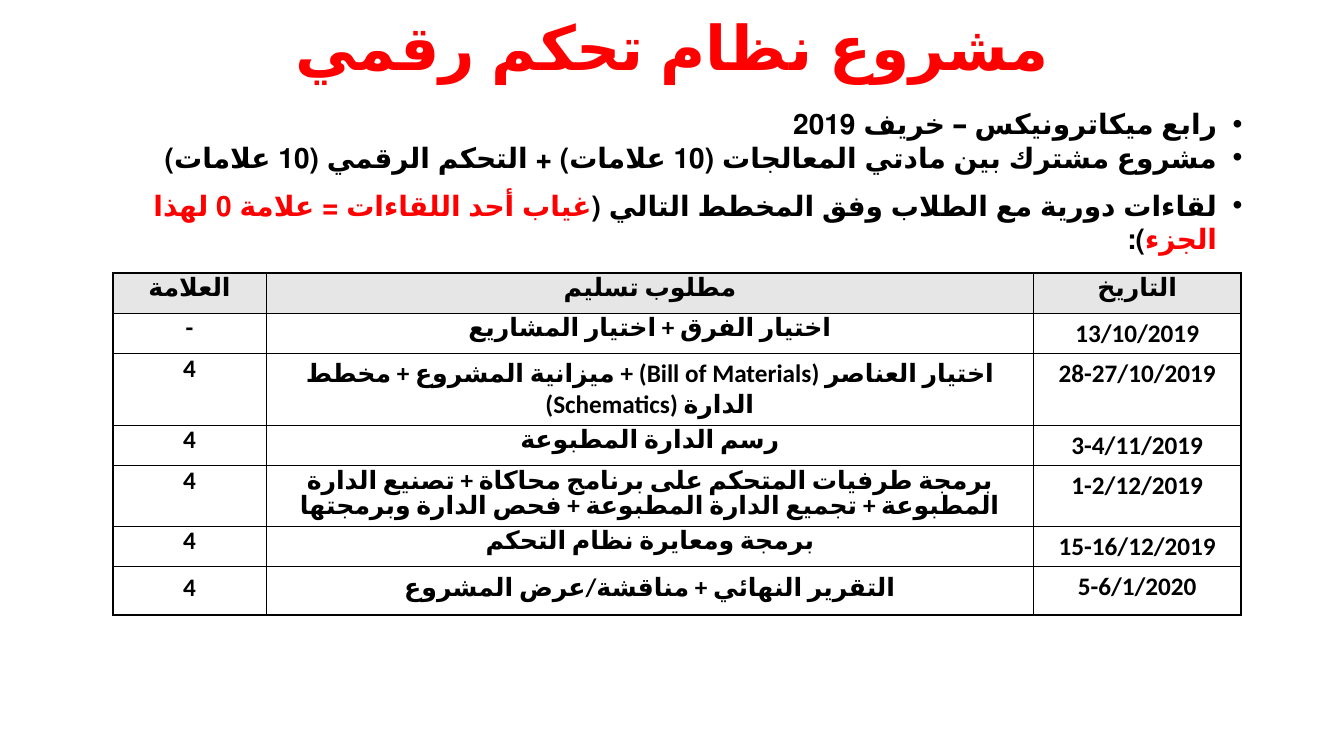
from dataclasses import dataclass

from lxml.etree import SubElement
from pptx import Presentation
from pptx.dml.color import RGBColor
from pptx.enum.lang import MSO_LANGUAGE_ID
from pptx.enum.text import MSO_ANCHOR, PP_ALIGN
from pptx.oxml.ns import qn
from pptx.util import Inches, Pt


@dataclass(frozen=True)
class Theme:
    font: str = "Calibri"
    black: RGBColor = RGBColor(0, 0, 0)
    red: RGBColor = RGBColor(255, 0, 0)
    header: RGBColor = RGBColor(0xE7, 0xE6, 0xE6)
    title_size: Pt = Pt(44)
    body_size: Pt = Pt(20)
    table_size: Pt = Pt(18)
    inner_line: Pt = Pt(1)
    outer_line: Pt = Pt(1.5)


THEME = Theme()

TITLE = "مشروع نظام تحكم رقمي"
BULLETS = [
    [("رابع ميكاترونيكس – خريف 2019", THEME.black)],
    [("مشروع مشترك بين مادتي المعالجات (10 علامات) + التحكم الرقمي (10 علامات)", THEME.black)],
    [
        ("لقاءات دورية مع الطلاب وفق المخطط التالي (", THEME.black),
        ("غياب أحد اللقاءات = علامة 0 لهذا الجزء", THEME.red),
        ("):", THEME.black),
    ],
]
SCHEDULE = [
    ("العلامة", "مطلوب تسليم", "التاريخ"),
    ("-", "اختيار الفرق + اختيار المشاريع", "13/10/2019"),
    (
        "4",
        "اختيار العناصر (Bill of Materials) + ميزانية المشروع + مخطط الدارة (Schematics)",
        "28-27/10/2019",
    ),
    ("4", "رسم الدارة المطبوعة", "3-4/11/2019"),
    (
        "4",
        "برمجة طرفيات المتحكم على برنامج محاكاة + تصنيع الدارة المطبوعة"
        " + تجميع الدارة المطبوعة + فحص الدارة وبرمجتها",
        "1-2/12/2019",
    ),
    ("4", "برمجة ومعايرة نظام التحكم", "15-16/12/2019"),
    ("4", "التقرير النهائي + مناقشة/عرض المشروع", "5-6/1/2020"),
]
COLUMN_WIDTHS = (1.52, 7.61, 2.06)
ROW_HEIGHTS = (0.4, 0.4, 0.71, 0.4, 0.59, 0.4, 0.48)
DATE_COLUMN = 2
MIXED_SCRIPT_ROW = 2


def apply_format(target, values):
    for name, value in values.items():
        setattr(target, name, value)


def add_run(paragraph, text, size, color):
    run = paragraph.add_run()
    run.text = text
    apply_format(
        run.font,
        {
            "name": THEME.font,
            "size": size,
            "bold": True,
            "language_id": MSO_LANGUAGE_ID.ARABIC_SYRIA,
        },
    )
    run.font.color.rgb = color
    return run


def add_text_frame(slide, left, top, width, height, anchor):
    box = slide.shapes.add_textbox(Inches(left), Inches(top), Inches(width), Inches(height))
    apply_format(box.text_frame, {"word_wrap": True, "vertical_anchor": anchor})
    return box.text_frame


def add_title(slide):
    frame = add_text_frame(slide, 0.92, 0, 11.5, 1.01, MSO_ANCHOR.MIDDLE)
    paragraph = frame.paragraphs[0]
    apply_format(paragraph, {"alignment": PP_ALIGN.CENTER, "line_spacing": 0.9})
    add_run(paragraph, TITLE, THEME.title_size, THEME.red)


def set_right_to_left_bullet(paragraph):
    properties = paragraph._p.get_or_add_pPr()
    indent = Inches(0.25)
    for name, value in {"marL": indent, "indent": -indent, "rtl": 1}.items():
        properties.set(name, str(value))
    SubElement(properties, qn("a:buFont")).set("typeface", "Arial")
    SubElement(properties, qn("a:buChar")).set("char", "•")


def add_bullets(slide):
    frame = add_text_frame(slide, 0.92, 1.01, 11.5, 1.35, MSO_ANCHOR.TOP)
    for index, parts in enumerate(BULLETS):
        paragraph = frame.add_paragraph() if index else frame.paragraphs[0]
        is_last = index == len(BULLETS) - 1
        apply_format(
            paragraph,
            {"alignment": PP_ALIGN.RIGHT, "space_before": Pt(10 if is_last else 0)},
        )
        set_right_to_left_bullet(paragraph)
        for text, color in parts:
            add_run(paragraph, text, THEME.body_size, color)


def set_borders(cell, outer_sides):
    properties = cell._tc.get_or_add_tcPr()
    for position, side in enumerate(("lnL", "lnR", "lnT", "lnB")):
        line = properties.makeelement(qn(f"a:{side}"), {})
        line.set("w", str(THEME.outer_line if side in outer_sides else THEME.inner_line))
        fill = SubElement(line, qn("a:solidFill"))
        SubElement(fill, qn("a:srgbClr")).set("val", str(THEME.black))
        properties.insert(position, line)


def fill_cell(cell, text, row, column):
    paragraph = cell.text_frame.paragraphs[0]
    paragraph.alignment = PP_ALIGN.CENTER
    is_header = row == 0
    is_date = column == DATE_COLUMN and not is_header
    is_mixed = row == MIXED_SCRIPT_ROW and column == 1
    if not is_header and not is_date:
        paragraph._p.get_or_add_pPr().set("rtl", "1")
    if not is_date and not is_mixed:
        paragraph.line_spacing = THEME.table_size
    run = add_run(paragraph, text, THEME.table_size, THEME.black)
    SubElement(run.font._element, qn("a:cs")).set("typeface", THEME.font)
    if is_header:
        cell.fill.solid()
        cell.fill.fore_color.rgb = THEME.header
    else:
        cell.fill.background()
    if row == len(SCHEDULE) - 1 and not is_date:
        cell.vertical_anchor = MSO_ANCHOR.MIDDLE


def add_schedule(slide):
    last_row, last_column = len(SCHEDULE) - 1, len(COLUMN_WIDTHS) - 1
    table = slide.shapes.add_table(
        len(SCHEDULE), len(COLUMN_WIDTHS), Inches(1.12), Inches(2.71),
        Inches(sum(COLUMN_WIDTHS)), Inches(sum(ROW_HEIGHTS)),
    ).table
    apply_format(table, {"first_row": False, "horz_banding": False})
    for column, width in zip(table.columns, COLUMN_WIDTHS):
        column.width = Inches(width)
    for row, height in zip(table.rows, ROW_HEIGHTS):
        row.height = Inches(height)
    for row, texts in enumerate(SCHEDULE):
        for column, text in enumerate(texts):
            cell = table.cell(row, column)
            fill_cell(cell, text, row, column)
            edges = {
                "lnL": column == 0,
                "lnR": column == last_column,
                "lnT": row == 0,
                "lnB": row == last_row,
            }
            set_borders(cell, [side for side, is_outer in edges.items() if is_outer])


def main():
    presentation = Presentation()
    apply_format(presentation, {"slide_width": Inches(13.33), "slide_height": Inches(7.5)})
    slide = presentation.slides.add_slide(presentation.slide_layouts[6])
    add_title(slide)
    add_bullets(slide)
    add_schedule(slide)
    presentation.save("out.pptx")


if __name__ == "__main__":
    main()
